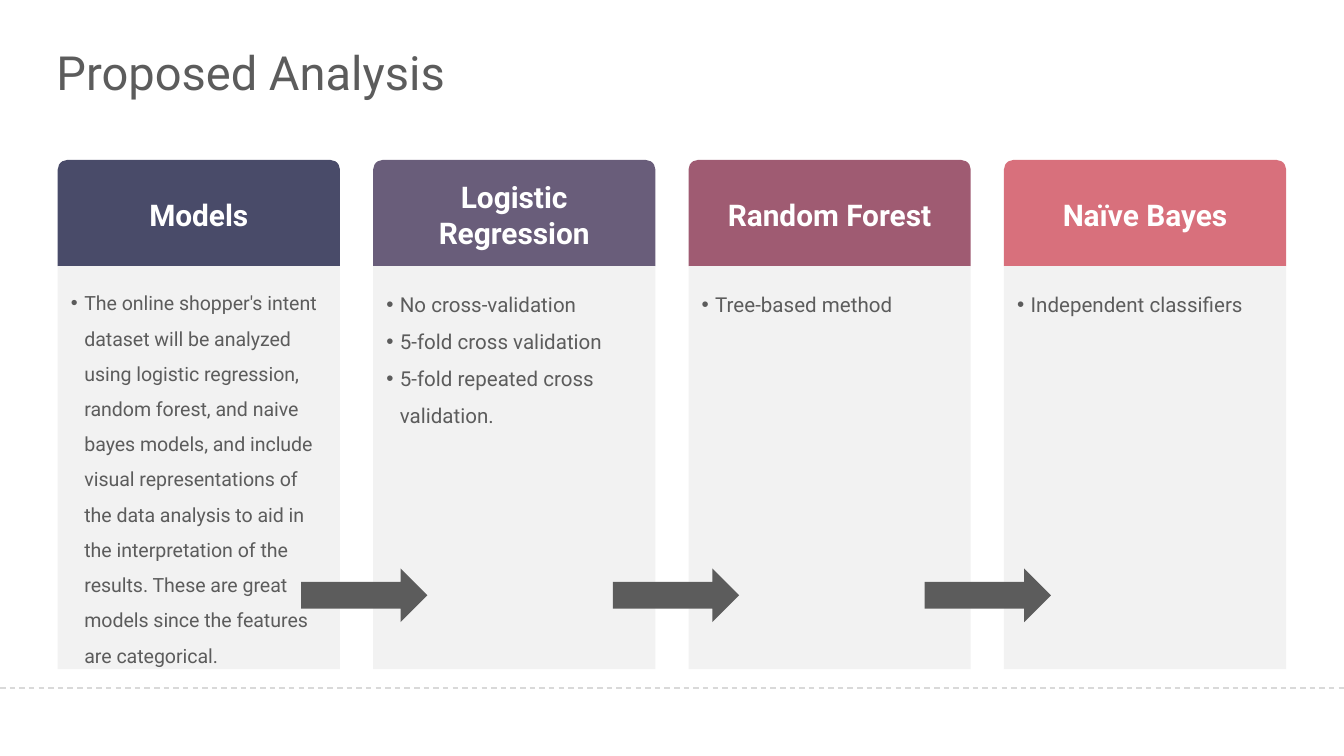
from lxml import etree
from pptx import Presentation
from pptx.dml.color import RGBColor
from pptx.enum.dml import MSO_LINE
from pptx.enum.shapes import MSO_CONNECTOR, MSO_SHAPE
from pptx.enum.text import MSO_ANCHOR, PP_ALIGN
from pptx.oxml.ns import qn
from pptx.util import Inches, Pt

GREY, PALE, WHITE = "5C5C5C", "F2F2F2", "FFFFFF"
rgb = RGBColor.from_string


def add_box(kind, x, y, w, h, fill):
    sp = s.shapes.add_shape(kind, Inches(x), Inches(y), Inches(w), Inches(h))
    sp.shadow.inherit = False
    sp.fill.solid()
    sp.fill.fore_color.rgb = rgb(fill)
    sp.line.fill.background()
    return sp


def style(p, size, color, align=PP_ALIGN.LEFT, bold=False):
    p.alignment = align
    p.font.name, p.font.size, p.font.bold = "Roboto", Pt(size), bold
    p.font.color.rgb = rgb(color)


# Widescreen slide, 16:9
prs = Presentation()
W = 10
H = W * 9 / 16
prs.slide_width, prs.slide_height = Inches(W), Inches(H)
s = prs.slides.add_slide(prs.slide_layouts[6])

# Column grid
margin, col_w = 0.43, 2.1
head_y, head_h, body_h = 1.19, 0.79, 3

# Footer rule
rule_y = Inches(5.12)
rule = s.shapes.add_connector(MSO_CONNECTOR.STRAIGHT, 0, rule_y, Inches(W), rule_y)
rule.line.color.rgb = rgb("D9D9D9")
rule.line.width = Pt(0.75)
rule.line.dash_style = MSO_LINE.DASH
etree.SubElement(rule._element.spPr, qn("a:effectLst"))

# Title
title = s.shapes.add_textbox(Inches(0.42), Inches(0.31), Inches(9.15), Inches(0.45))
tf = title.text_frame
tf.word_wrap = True
tf.vertical_anchor = MSO_ANCHOR.MIDDLE
tf.margin_left = tf.margin_top = tf.margin_right = tf.margin_bottom = 0
tf.text = "Proposed Analysis"
style(tf.paragraphs[0], 25.2, GREY)

# Cards: heading, colour, text size, bullets
cards = [
    ("Models", "494B69", 10.5, [
        "The online shopper's intent dataset will be analyzed using logistic regression, "
        "random forest, and naive bayes models, and include visual representations of the "
        "data analysis to aid in the interpretation of the results. These are great models "
        "since the features are categorical."]),
    ("Logistic Regression", "695D7A", 11, [
        "No cross-validation", "5-fold cross validation", "5-fold repeated cross validation."]),
    ("Random Forest", "9F5B72", 11, ["Tree-based method"]),
    ("Naïve Bayes", "D8707C", 11, ["Independent classifiers"]),
]
pitch = (W - 2 * margin - col_w) / (len(cards) - 1)

for i, (heading, color, size, bullets) in enumerate(cards):
    x = margin + i * pitch
    head = add_box(MSO_SHAPE.ROUND_2_SAME_RECTANGLE, x, head_y, col_w, head_h, color)
    head.adjustments[0] = 0.09
    tf = head.text_frame
    tf.word_wrap = True
    tf.vertical_anchor = MSO_ANCHOR.MIDDLE
    tf.text = heading
    style(tf.paragraphs[0], 16, WHITE, PP_ALIGN.CENTER, True)

    body = add_box(MSO_SHAPE.RECTANGLE, x, head_y + head_h, col_w, body_h, PALE)
    tf = body.text_frame
    tf.word_wrap = True
    tf.vertical_anchor = MSO_ANCHOR.TOP
    tf.margin_left = tf.margin_top = tf.margin_right = Inches(0.1)
    tf.margin_bottom = Inches(0.05)
    tf.text = "\n".join(bullets)
    for p in tf.paragraphs:
        style(p, size, GREY)
        p.line_spacing = 1.5
        pPr = p._p.get_or_add_pPr()
        pPr.set("marL", str(Inches(0.1)))
        pPr.set("indent", str(-Inches(0.1)))
        for tag, attrs in (("a:buFont", {"typeface": "Arial"}), ("a:buChar", {"char": "•"})):
            pPr.find(qn("a:defRPr")).addprevious(pPr.makeelement(qn(tag), attrs))

# Arrows between the cards
for i in range(len(cards) - 1):
    add_box(MSO_SHAPE.RIGHT_ARROW, 2.24 + i * 2.32, 4.23, 0.94, 0.4, GREY)

prs.save("out.pptx")
